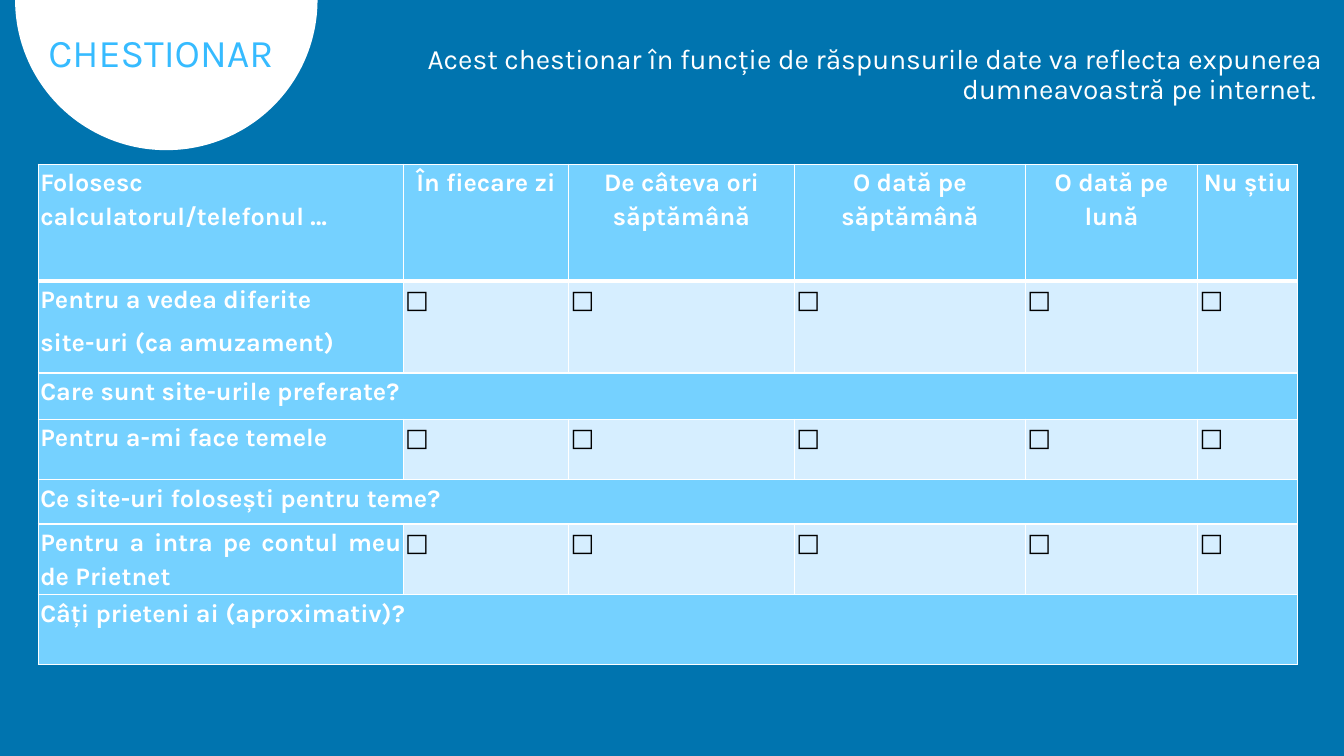
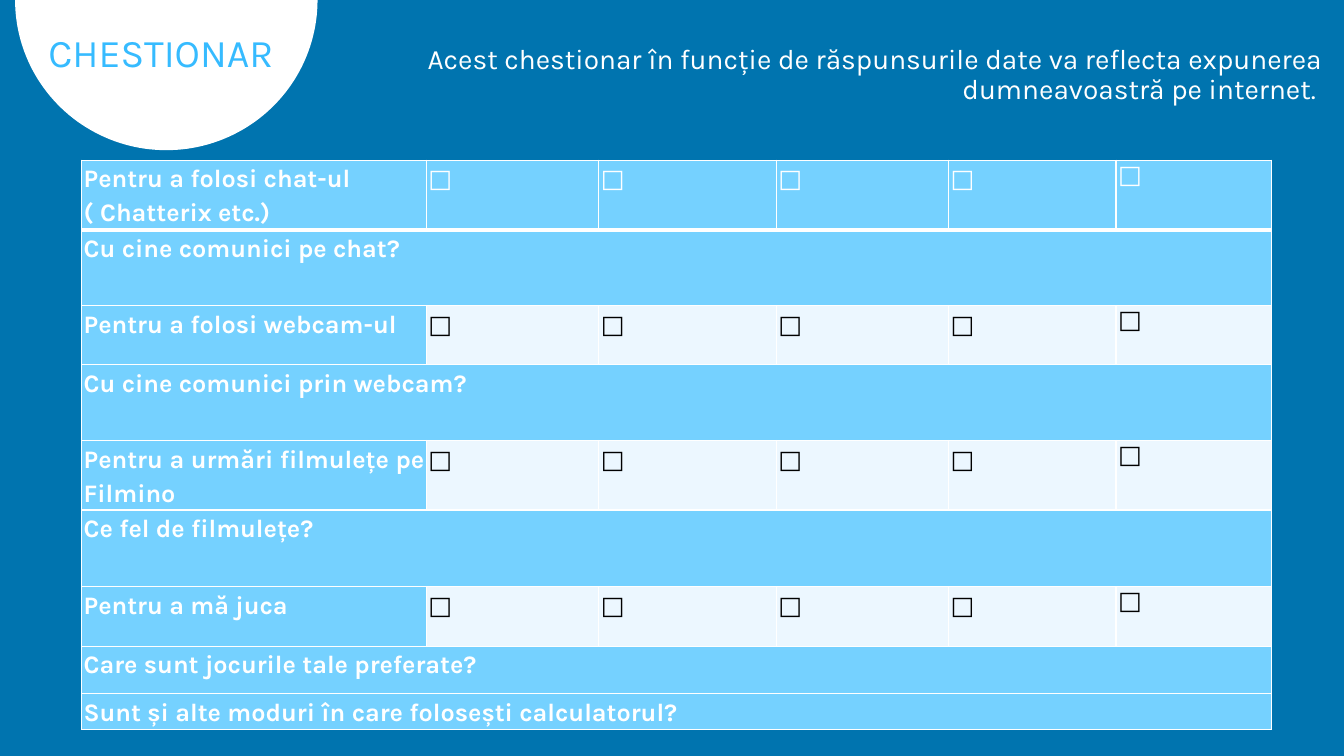
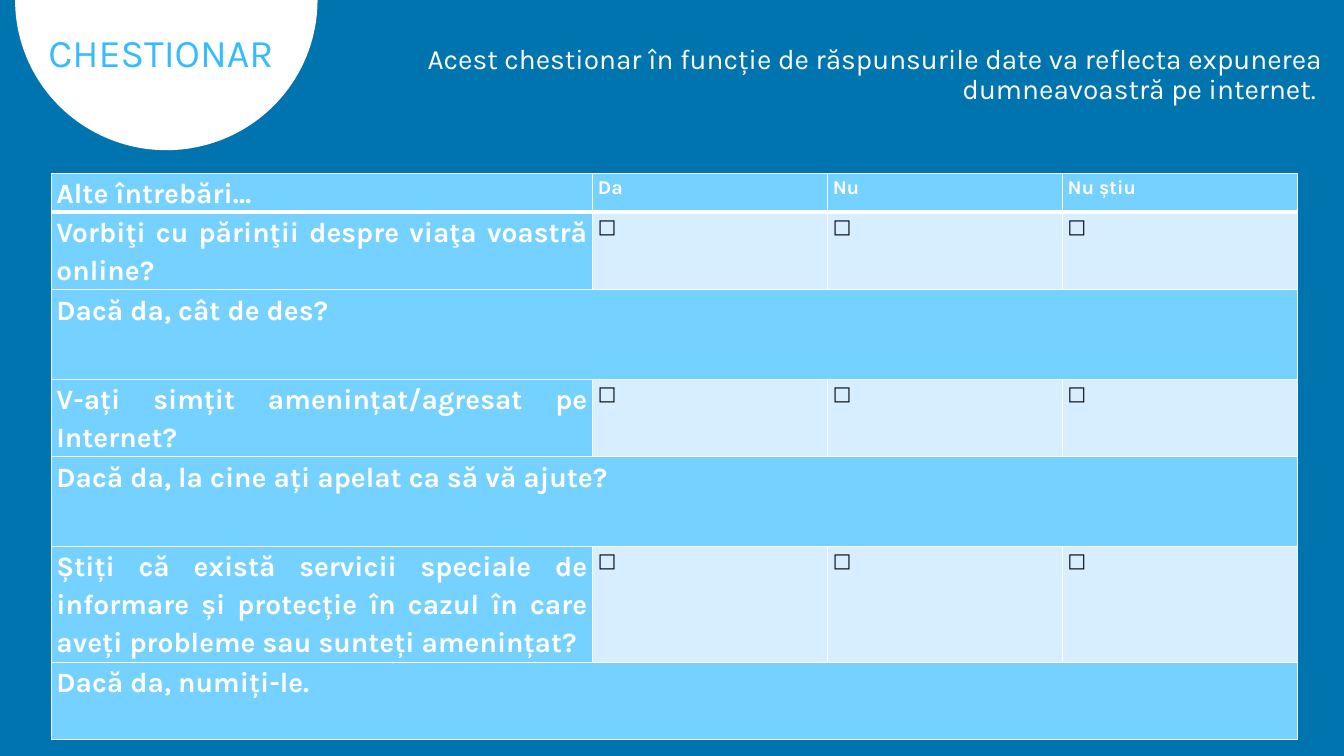
from dataclasses import dataclass
from math import cos, pi, sin

from lxml.etree import SubElement
from pptx import Presentation
from pptx.dml.color import RGBColor
from pptx.enum.text import MSO_ANCHOR, MSO_AUTO_SIZE, PP_ALIGN
from pptx.oxml.ns import qn
from pptx.util import Inches, Pt

FONT = "Karla"
WHITE, BLACK = "FFFFFF", "000000"
BACKGROUND, TITLE_BLUE, CELL_BLUE = "0074AF", "36BBFF", "75D1FF"
INTRO = ("Acest chestionar în funcție de răspunsurile date va reflecta "
         "expunerea dumneavoastră pe internet. ")
BOX = "□"


@dataclass(frozen=True)
class Row:
    """A question; without answers it spans the whole table."""
    height: float
    question: str
    answers: tuple[str, ...] = ()
    align: PP_ALIGN = PP_ALIGN.JUSTIFY
    answer_align: PP_ALIGN = PP_ALIGN.JUSTIFY


@dataclass(frozen=True)
class Questionnaire:
    left: float
    top: float
    columns: tuple[float, ...]
    rows: tuple[Row, ...]
    answer_fill: str = "D6EEFF"
    question_size: int = 18
    answer_size: int = 18
    margin: float = 0.02
    before: int = 3
    after: int = 3
    plain_last: bool = False


FIVE, THREE = (BOX,) * 5, (BOX,) * 3

QUESTIONNAIRES = (
    Questionnaire(0.38, 1.63, (3.62, 1.64, 2.24, 2.29, 1.71, 0.99), (
        Row(1.16, "Folosesc calculatorul/telefonul …",
            ("În fiecare zi", "De câteva ori săptămână", "O dată pe săptămână",
             "O dată pe lună", "Nu știu"), answer_align=PP_ALIGN.CENTER),
        Row(0.91, "Pentru a vedea diferite \nsite-uri (ca amuzament)", FIVE),
        Row(0.46, "Care sunt site-urile preferate?"),
        Row(0.6, "Pentru a-mi face temele", FIVE),
        Row(0.44, "Ce site-uri folosești pentru teme?"),
        Row(0.7, "Pentru a intra pe contul meu de Prietnet ", FIVE),
        Row(0.69, "Câți prieteni ai (aproximativ)?"),
    )),
    Questionnaire(0.81, 1.59, (3.42, 1.71, 1.76, 1.71, 1.66, 1.54), (
        Row(0.66, "Pentru a folosi chat-ul ( Chatterix etc.)", FIVE, PP_ALIGN.LEFT),
        Row(0.75, "Cu cine comunici pe chat?"),
        Row(0.59, "Pentru a folosi webcam-ul ", FIVE),
        Row(0.75, "Cu cine comunici prin webcam?"),
        Row(0.67, "Pentru a urmări filmulețe pe Filmino", FIVE),
        Row(0.76, "Ce fel de filmulețe?"),
        Row(0.59, "Pentru a mă juca", FIVE),
        Row(0.47, "Care sunt jocurile tale preferate?"),
        Row(0.36, "Sunt și alte moduri în care folosești calculatorul?"),
    ), answer_fill="ECF7FF", plain_last=True),
    Questionnaire(0.51, 1.72, (5.37, 2.33, 2.33, 2.33), (
        Row(0.37, "Alte întrebări…", ("Da", "Nu ", "Nu știu")),
        Row(0.75, "Vorbiţi cu părinţii despre viaţa voastră online?", THREE),
        Row(0.89, "Dacă da, cât de des?"),
        Row(0.75, "V-ați simțit amenințat/agresat pe Internet?", THREE),
        Row(0.89, "Dacă da, la cine ați apelat ca să vă ajute?"),
        Row(1.12, "Știți că există servicii speciale de informare și protecție "
                  "în cazul în care aveți probleme sau sunteți amenințat?", THREE),
        Row(0.77, "Dacă da, numiți-le."),
    ), question_size=20, answer_size=14, margin=0.05, before=0, after=10),
)


def rgb(value: str) -> RGBColor:
    return RGBColor.from_string(value)


def write(frame, text: str, size: int, color: str, align: PP_ALIGN, spacing: float,
          bold: bool = False, before: int = 0, after: int = 0) -> None:
    frame.text = text
    frame.word_wrap = True
    for paragraph in frame.paragraphs:
        paragraph.alignment = align
        paragraph.line_spacing = spacing
        paragraph.space_before, paragraph.space_after = Pt(before), Pt(after)
        for run in paragraph.runs:
            run.font.name, run.font.size, run.font.bold = FONT, Pt(size), bold
            run.font.color.rgb = rgb(color)


def add_header(slide) -> None:
    # Title on a white half disc
    title = slide.shapes.title
    title.left, title.top = Inches(0.38), Inches(0.28)
    title.width, title.height = Inches(3.25), Inches(0.53)
    write(title.text_frame, "CHESTIONAR", 28, TITLE_BLUE, PP_ALIGN.LEFT, 0.9)
    title.text_frame.vertical_anchor = MSO_ANCHOR.MIDDLE
    title.text_frame.auto_size = MSO_AUTO_SIZE.NONE

    arc = [(Inches(1.65 + 1.5 * cos(pi * step / 90)), Inches(1.49 * sin(pi * step / 90)))
           for step in range(91)]
    builder = slide.shapes.build_freeform(*arc[0])
    builder.add_line_segments(arc[1:], close=True)
    disc = builder.convert_to_shape()
    disc.shadow.inherit = False
    disc.fill.solid()
    disc.fill.fore_color.rgb = rgb(WHITE)
    disc.line.fill.background()
    title.element.addprevious(disc.element)

    # Introduction
    intro = slide.shapes.add_textbox(Inches(3.06), Inches(0.4), Inches(10.16), Inches(0.71))
    write(intro.text_frame, INTRO, 20, WHITE, PP_ALIGN.RIGHT, 0.9)


def paint_cell(cell, fill: str, margin: float, top: int, bottom: int) -> None:
    cell.margin_left = cell.margin_right = Inches(margin)
    cell.margin_top = cell.margin_bottom = 0
    properties = cell._tc.get_or_add_tcPr()
    for side, width in (("L", 1), ("R", 1), ("T", top), ("B", bottom)):
        border = SubElement(properties, qn(f"a:ln{side}"), w=str(Pt(width)))
        SubElement(SubElement(border, qn("a:solidFill")), qn("a:srgbClr"), val=WHITE)
    cell.fill.solid()
    cell.fill.fore_color.rgb = rgb(fill)


def add_questionnaire(slide, form: Questionnaire) -> None:
    table = slide.shapes.add_table(
        len(form.rows), len(form.columns), Inches(form.left), Inches(form.top),
        Inches(sum(form.columns)), Inches(sum(row.height for row in form.rows))).table
    table.first_row = table.horz_banding = False
    for column, width in zip(table.columns, form.columns):
        column.width = Inches(width)

    last = len(form.columns) - 1
    for index, row in enumerate(form.rows):
        table.rows[index].height = Inches(row.height)
        header = index == 0
        for position in range(last + 1):
            is_answer = position > 0 and bool(row.answers) and not header
            paint_cell(table.cell(index, position),
                       form.answer_fill if is_answer else CELL_BLUE, form.margin,
                       top=3 if index == 1 else 1, bottom=3 if header else 1)
        if not row.answers:
            table.cell(index, 0).merge(table.cell(index, last))
        write(table.cell(index, 0).text_frame, row.question, form.question_size, WHITE,
              row.align, 1.15, True, form.before, form.after)
        for position, answer in enumerate(row.answers, start=1):
            plain = form.plain_last and position == last
            write(table.cell(index, position).text_frame, answer, form.answer_size,
                  WHITE if header else BLACK,
                  PP_ALIGN.LEFT if plain else row.answer_align,
                  1.0 if plain else 1.15, header,
                  0 if plain else form.before, 0 if plain else form.after)


def main() -> None:
    deck = Presentation()
    deck.slide_width, deck.slide_height = Inches(13.33), Inches(7.5)
    background = deck.slide_master.background.fill
    background.solid()
    background.fore_color.rgb = rgb(BACKGROUND)
    title_only = deck.slide_layouts[5]
    for form in QUESTIONNAIRES:
        slide = deck.slides.add_slide(title_only)
        add_header(slide)
        add_questionnaire(slide, form)
    deck.save("out.pptx")


if __name__ == "__main__":
    main()
